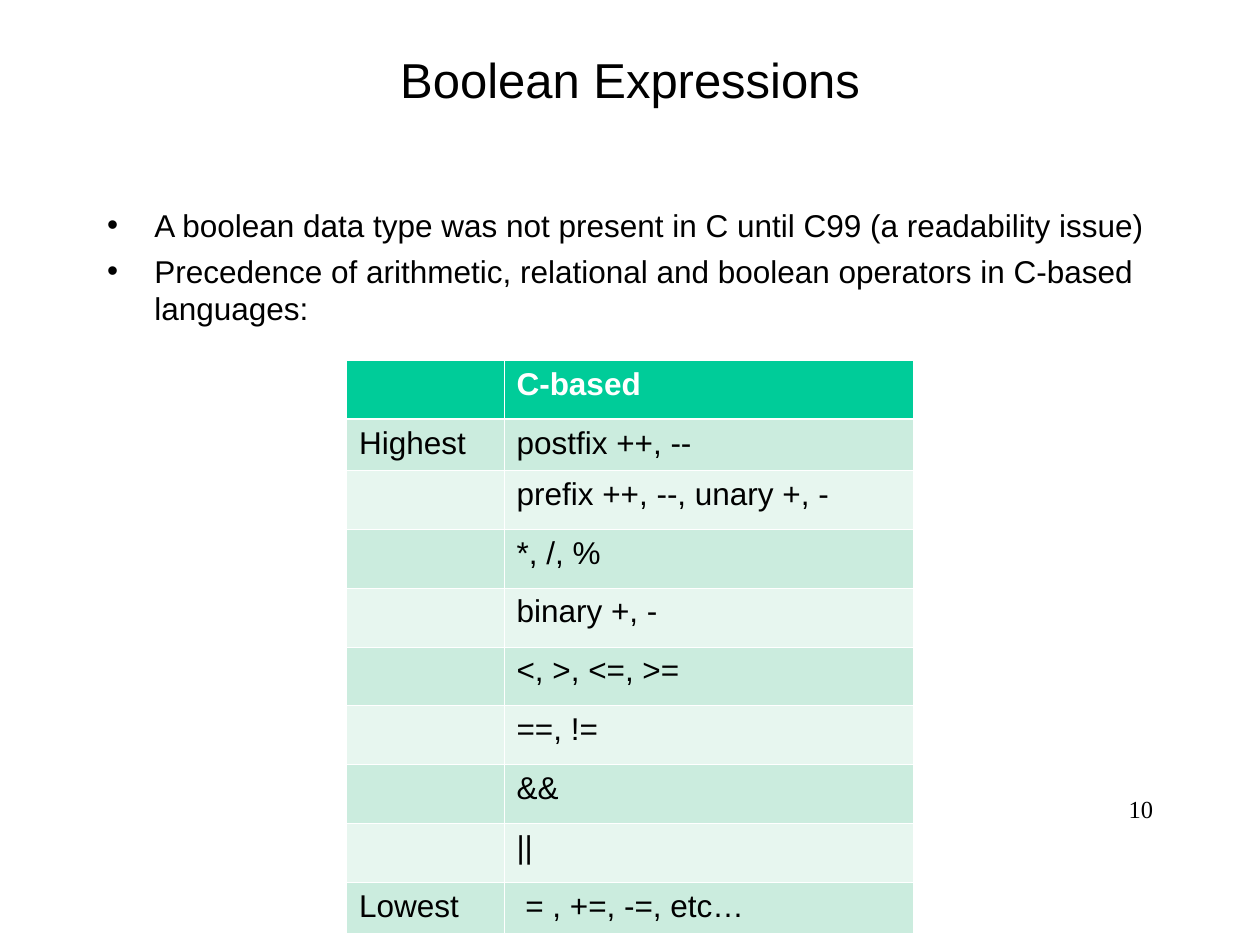
from lxml import etree
from pptx import Presentation
from pptx import util as u
from pptx.dml.color import RGBColor
from pptx.enum import text
from pptx.oxml.ns import qn

COLORS = {
    "ink": "000000",
    "white": "FFFFFF",
    "header": "00CC99",
    "band_dark": "CBECDE",
    "band_light": "E7F6EF",
}

BULLETS = [
    "A boolean data type was not present in C until C99 (a readability issue)",
    "Precedence of arithmetic, relational and boolean operators in C-based languages:",
]

PRECEDENCE = [
    ("", "C-based"),
    ("Highest", "postfix ++, --"),
    ("", "prefix ++, --, unary +, -"),
    ("", "*, /, %"),
    ("", "binary +, -"),
    ("", "<, >, <=, >="),
    ("", "==, !="),
    ("", "&&"),
    ("", "||"),
    ("Lowest", " = , +=, -=, etc…"),
]

THIN, THICK = 0.45, 1.47  # border widths in points


def rgb(name):
    return RGBColor.from_string(COLORS[name])


def write(paragraph, words, size=18, font="Arial", color="ink", bold=False,
          align=text.PP_ALIGN.LEFT):
    """Put one formatted run into a paragraph."""
    paragraph.alignment = align
    run = paragraph.add_run()
    run.text = words
    run.font.size = u.Pt(size)
    run.font.name = font
    run.font.bold = bold
    run.font.color.rgb = rgb(color)


def place(shape, left, top, width, height):
    shape.left, shape.top = u.Pt(left), u.Pt(top)
    shape.width, shape.height = u.Pt(width), u.Pt(height)


def add_bullet(paragraph, indent):
    properties = paragraph._p.get_or_add_pPr()
    properties.set("marL", str(u.Pt(indent)))
    properties.set("indent", str(-u.Pt(indent)))
    etree.SubElement(properties, qn("a:buChar"), char="•")


def set_border(cell, side, width):
    line = etree.SubElement(cell._tc.get_or_add_tcPr(), qn(f"a:ln{side}"),
                            w=str(u.Pt(width)))
    fill = etree.SubElement(line, qn("a:solidFill"))
    etree.SubElement(fill, qn("a:srgbClr"), val=COLORS["white"])


def set_empty_size(paragraph, size):
    """Give a paragraph without text its line height."""
    end = etree.SubElement(paragraph._p, qn("a:endParaRPr"), sz=str(size * 100))
    etree.SubElement(end, qn("a:latin"), typeface="Times New Roman")


def fill_title(shape):
    place(shape, 54, 0, 612, 90)
    frame = shape.text_frame
    frame.auto_size = text.MSO_AUTO_SIZE.NONE
    frame.vertical_anchor = text.MSO_ANCHOR.MIDDLE
    write(frame.paragraphs[0], "Boolean Expressions", size=28,
          align=text.PP_ALIGN.CENTER)


def fill_body(shape):
    place(shape, 54, 114, 612, 324)
    frame = shape.text_frame
    frame.auto_size = text.MSO_AUTO_SIZE.NONE
    for index, words in enumerate(BULLETS):
        paragraph = frame.add_paragraph() if index else frame.paragraphs[0]
        add_bullet(paragraph, 27)
        paragraph.space_before = u.Pt(4.5 if index else 0)
        write(paragraph, words)


def add_page_number(slide):
    box = slide.shapes.add_textbox(u.Pt(516), u.Pt(450), u.Pt(150), u.Pt(36))
    box.text_frame.word_wrap = True
    write(box.text_frame.paragraphs[0], "10", size=14, font="Times New Roman",
          align=text.PP_ALIGN.RIGHT)


def add_precedence_table(slide):
    count = len(PRECEDENCE)
    table = slide.shapes.add_table(count, 2, u.Pt(198), u.Pt(206), u.Pt(324),
                                   u.Pt(29.2 * count)).table
    for column, width in zip(table.columns, (90, 234)):
        column.width = u.Pt(width)
    for row, labels in enumerate(PRECEDENCE):
        table.rows[row].height = u.Pt(29.2)
        band = "band_dark" if row % 2 else "band_light"
        for column, words in enumerate(labels):
            cell = table.cell(row, column)
            # Borders come before the fill in the cell properties
            set_border(cell, "L", THIN)
            set_border(cell, "R", THIN)
            set_border(cell, "T", THICK if row == 1 else THIN)
            set_border(cell, "B", THICK if row == 0 else THIN)
            cell.fill.solid()
            cell.fill.fore_color.rgb = rgb(band if row else "header")
            paragraph = cell.text_frame.paragraphs[0]
            if words:
                write(paragraph, words, color="ink" if row else "white",
                      bold=row == 0)
            else:
                set_empty_size(paragraph, 22)


def main():
    presentation = Presentation()
    presentation.slide_width, presentation.slide_height = u.Pt(720), u.Pt(540)
    slide = presentation.slides.add_slide(presentation.slide_layouts[1])

    # Title and list
    fill_title(slide.shapes.title)
    fill_body(slide.placeholders[1])

    # Page number and operator table
    add_page_number(slide)
    add_precedence_table(slide)

    presentation.save("out.pptx")


if __name__ == "__main__":
    main()
